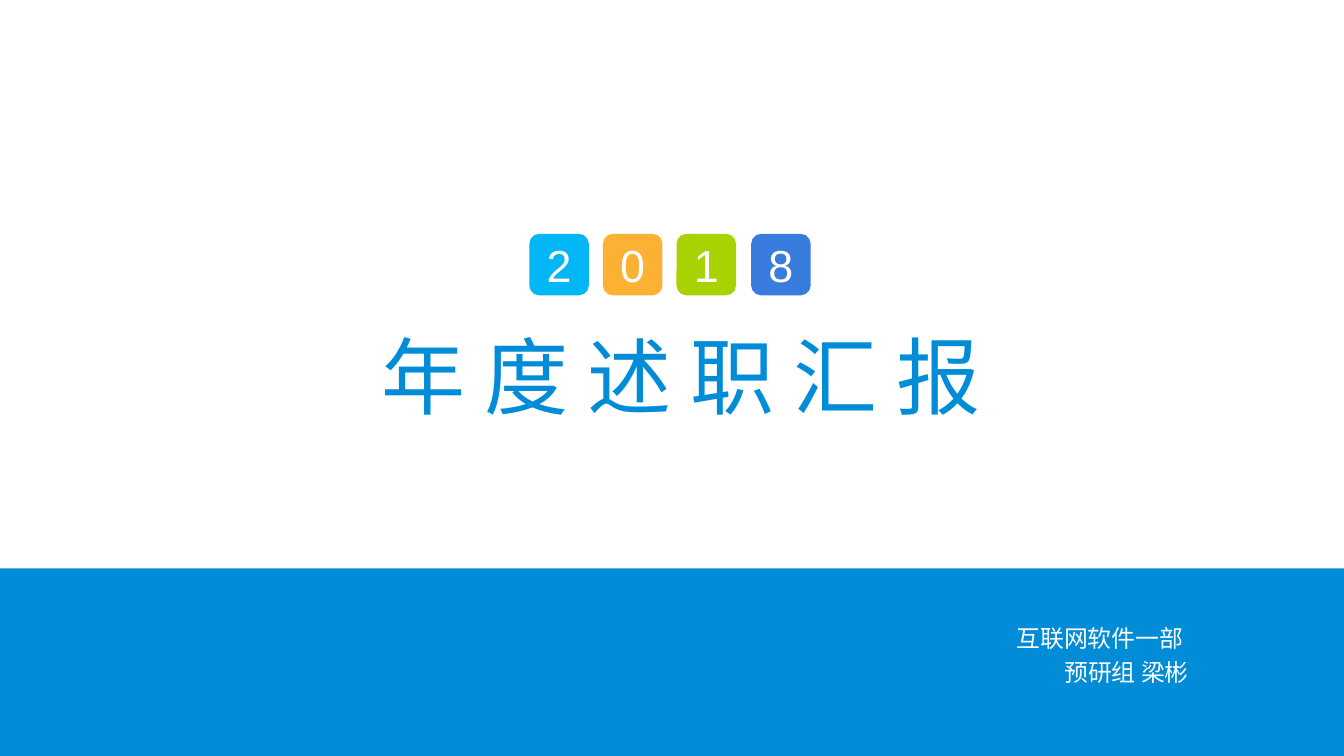
from pptx import Presentation
from pptx import util as u
from pptx.dml.color import RGBColor
from pptx.enum import shapes, text

PX = 9144
FONT = "Arial"
COLORS = {
    "blue": "008CD7",
    "white": "FFFFFF",
    "sky": "03B6F5",
    "orange": "FBB134",
    "green": "A9D202",
    "indigo": "387CDD",
}
YEAR_TILES = [("2", "sky"), ("0", "orange"), ("1", "green"), ("8", "indigo")]


def px(*lengths):
    """Turn px lengths into EMU."""
    return [u.Emu(n * PX) for n in lengths]


def rgb(name):
    """Look up a named colour."""
    return RGBColor.from_string(COLORS[name])


def write(sp, *lines, size, color, align, anchor, spacing=1.0, before=0):
    """Fill a shape with formatted paragraphs."""
    tf = sp.text_frame
    tf.word_wrap = True
    tf.auto_size = text.MSO_AUTO_SIZE.NONE
    tf.vertical_anchor = anchor
    for i, line in enumerate(lines):
        p = tf.add_paragraph() if i else tf.paragraphs[0]
        p.alignment = align
        p.line_spacing = spacing
        p.space_before = u.Pt(before if i else 0)
        r = p.add_run()
        r.text = line
        r.font.name = FONT
        r.font.size = u.Pt(size)
        r.font.color.rgb = rgb(color)


def block(s, kind, box, fill):
    """Add a flat filled shape without outline."""
    sp = s.shapes.add_shape(kind, *px(*box))
    sp.shadow.inherit = False
    sp.fill.solid()
    sp.fill.fore_color.rgb = rgb(fill)
    sp.line.fill.background()
    return sp


def title(s, box, line):
    """Place the slide title."""
    sp = s.shapes.title
    sp.left, sp.top, sp.width, sp.height = px(*box)
    write(sp, line, size=60, color="blue", align=text.PP_ALIGN.CENTER,
          anchor=text.MSO_ANCHOR.BOTTOM, spacing=0.9)


def year_tile(s, box, digit, fill):
    """Add a rounded tile with one digit of the year."""
    sp = block(s, shapes.MSO_SHAPE.ROUNDED_RECTANGLE, box, fill)
    write(sp, digit, size=32, color="white", align=text.PP_ALIGN.CENTER,
          anchor=text.MSO_ANCHOR.MIDDLE)


def presenter(s, box, *lines):
    """Add the right-aligned department and presenter lines."""
    sp = s.shapes.add_textbox(*px(*box))
    write(sp, *lines, size=17, color="white", align=text.PP_ALIGN.RIGHT,
          anchor=text.MSO_ANCHOR.TOP, spacing=0.7, before=10)


def main():
    """Build the cover slide."""
    prs = Presentation()
    prs.slide_width, prs.slide_height = px(1333, 750)
    s = prs.slides.add_slide(prs.slide_layouts[5])
    block(s, shapes.MSO_SHAPE.RECTANGLE, (0, 564, 1333, 186), "blue")
    title(s, (162, 314, 1027, 114), "年 度 述 职 汇 报")
    presenter(s, (803, 622, 386, 69), "互联网软件一部 ", "预研组 梁彬")
    for i, (digit, fill) in enumerate(YEAR_TILES):
        year_tile(s, (525 + 220 * i // 3, 232, 59, 61), digit, fill)
    prs.save("out.pptx")


if __name__ == "__main__":
    main()
